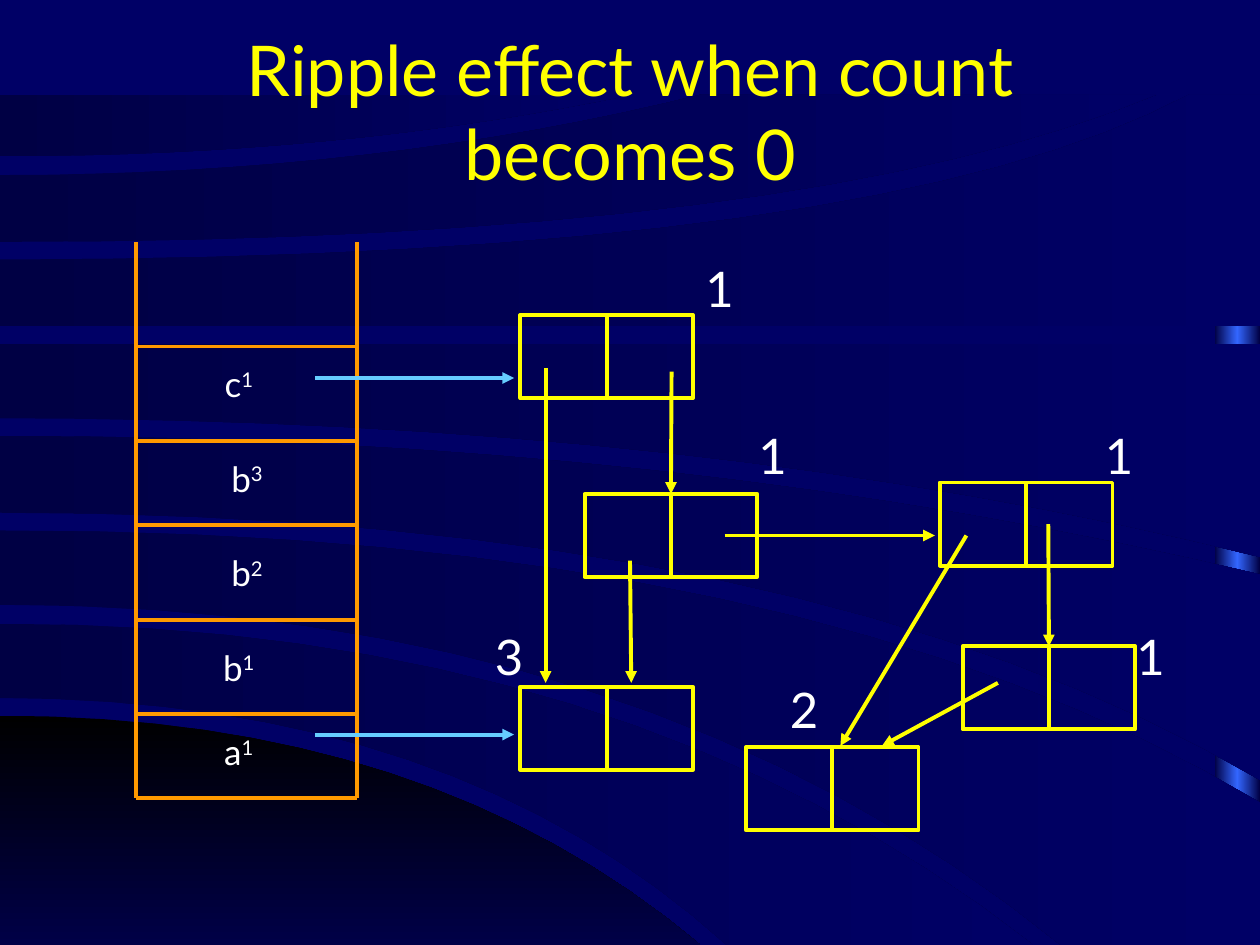
from lxml.etree import SubElement
from pptx import Presentation
from pptx.dml.color import RGBColor
from pptx.enum.shapes import MSO_CONNECTOR, MSO_SHAPE
from pptx.enum.text import MSO_ANCHOR, PP_ALIGN
from pptx.oxml.ns import qn
from pptx.util import Cm, Pt

COLORS = {
    "background": "000066", "dark": "000044", "glow": "3366FF",
    "black": "000000", "corner": "000047", "title": "FFFF00",
    "node": "FFFF00", "stack": "FF9900", "reference": "66CCFF", "text": "FFFFFF",
}
TOP, BOTTOM = 0, 2
NODE_WIDTH, NODE_HEIGHT = 1.37, 0.66
CURVE_STEPS = 16

# Edges of the backdrop: start height, bend, end x, end y
HILL = ((5.68, 3.4, 5.56, 7.5), (7.5, 3, 5.56, 7.5))
BANDS = (
    ((4.95, 4.95, 8.2, 7.5), (5.54, 3.6, 5.77, 7.5)),
    ((4.21, 6.4, 10, 6.37), (4.8, 5.1, 8.42, 7.5)),
    ((3.46, 5.4, 10, 4.56), (4.07, 6.4, 10, 6.19)),
    ((2.73, 5, 10, 2.73), (3.32, 5.6, 10, 4.42)),
    ((2.06, 7, 9.44, 0.75), (2.59, 5, 10, 2.59)),
    ((1.39, 3, 5.57, 0.75), (1.92, 6.4, 9.18, 0.75)),
    ((0.75, 2.5, 5.02, 0.75), (1.24, 2.7, 5.02, 0.75)),
)


def color(name):
    return RGBColor.from_string(COLORS[name])


def length(inches):
    return Cm(inches * 2.54)


def curve(start_y, bend, end_x, end_y):
    """Points of a curve that leaves the left side of the slide level."""
    points = []
    for step in range(CURVE_STEPS + 1):
        t = step / CURVE_STEPS
        points.append((2 * t * (1 - t) * bend + t * t * end_x,
                       start_y + t * t * (end_y - start_y)))
    return points


def write(paragraph, text, size=28, tint="text", align=PP_ALIGN.LEFT, raised=False):
    """Add one run of text to the paragraph."""
    paragraph.alignment = align
    run = paragraph.add_run()
    run.text = text
    run.font.name = "Lato"
    run.font.size = Pt(size)
    run.font.color.rgb = color(tint)
    if raised:
        run.font._element.set("baseline", "30000")


class Diagram:
    """The current slide and its drawing style; places are in inches."""

    def __init__(self, slide, line_width=2.25):
        self.slide = slide
        self.shapes = slide.shapes
        self.line_width = Pt(line_width)

    def background(self, name):
        fill = self.slide.background.fill
        fill.solid()
        fill.fore_color.rgb = color(name)

    def gradient(self, shape, names, angle=0):
        shape.shadow.inherit = False
        shape.line.fill.background()
        shape.fill.gradient()
        shape.fill.gradient_angle = angle
        stops = shape._element.spPr.find(".//" + qn("a:gsLst"))
        for stop in list(stops):
            stops.remove(stop)
        for index, name in enumerate(names):
            position = index * 100000 // (len(names) - 1)
            stop = SubElement(stops, qn("a:gs"), pos=str(position))
            SubElement(stop, qn("a:srgbClr"), val=COLORS[name])

    def rectangle(self, left, top, width, height):
        return self.shapes.add_shape(
            MSO_SHAPE.RECTANGLE, *map(length, (left, top, width, height)))

    def band(self, edges, names, angle=0):
        """The area between two curves, squared off at the right."""
        upper, lower = (curve(*edge) for edge in edges)
        near, far = sorted((upper[-1], lower[-1]))
        points = upper + [(far[0], near[1])] + lower[::-1]
        corners = [(length(x), length(y)) for x, y in points]
        builder = self.shapes.build_freeform(*corners[0])
        builder.add_line_segments(corners[1:], close=True)
        self.gradient(builder.convert_to_shape(), names, angle)

    def line(self, start, end, tint, arrow=False):
        connector = self.shapes.add_connector(
            MSO_CONNECTOR.STRAIGHT, *map(length, (*start, *end)))
        connector.line.color.rgb = color(tint)
        connector.line.width = self.line_width
        if arrow:
            SubElement(connector.line._ln, qn("a:tailEnd"), type="triangle")
        SubElement(connector._element.spPr, qn("a:effectLst"))
        return connector

    def node(self, left, top):
        """A two-cell box."""
        box = self.rectangle(left, top, NODE_WIDTH, NODE_HEIGHT)
        box.shadow.inherit = False
        box.fill.background()
        box.line.color.rgb = color("node")
        box.line.width = self.line_width
        middle = left + NODE_WIDTH / 2
        divider = self.line((middle, top), (middle, top + NODE_HEIGHT), "node")
        divider.begin_connect(box, TOP)
        divider.end_connect(box, BOTTOM)
        return box

    def text(self, left, top, width, height, content, raised="", wrap=True,
             anchor=MSO_ANCHOR.TOP, **style):
        box = self.shapes.add_textbox(*map(length, (left, top, width, height)))
        frame = box.text_frame
        frame.word_wrap = wrap
        frame.vertical_anchor = anchor
        paragraph = frame.paragraphs[0]
        write(paragraph, content, **style)
        if raised:
            write(paragraph, raised, raised=True, **style)


def main():
    presentation = Presentation()
    presentation.slide_width, presentation.slide_height = length(10), length(7.5)
    diagram = Diagram(presentation.slides.add_slide(presentation.slide_layouts[6]))

    # Backdrop
    diagram.background("background")
    strip = diagram.rectangle(9.64, 0.77, 0.36, 6.73)
    diagram.gradient(strip, ("dark", "glow", "dark"))
    diagram.band(HILL, ("black", "corner"), angle=270)
    for edges in BANDS:
        diagram.band(edges, ("dark", "background"))

    # Title
    diagram.text(0.75, 0.25, 8.5, 1.25, "Ripple effect when count becomes 0",
                 anchor=MSO_ANCHOR.MIDDLE, size=40, tint="title",
                 align=PP_ALIGN.CENTER)

    # Stack, open at the top
    left, right, top, bottom = 1.08, 2.83, 1.92, 6.33
    for x in (left, right):
        diagram.line((x, top), (x, bottom), "stack")
    for y in (2.75, 3.5, 4.17, 4.92, 5.67, bottom):
        diagram.line((left, y), (right, y), "stack")
    for name, version, y, width in (
            ("c", "1", 2.83, 0.45), ("b", "3", 3.58, 0.58), ("b", "2", 4.33, 0.58),
            ("b", "1", 5.08, 0.45), ("a", "1", 5.75, 0.45)):
        diagram.text(1.67, y, width, 0.44, name, raised=version, wrap=False,
                     size=20, align=PP_ALIGN.CENTER)

    # Nodes
    places = ((4.13, 2.5), (4.64, 3.92), (7.46, 3.83),
              (7.64, 5.13), (4.13, 5.45), (5.92, 5.93))
    first, second, third, fourth, fifth, sixth = (
        diagram.node(*place) for place in places)

    # Reference counts
    for count, x, y in (("1", 5.5, 2), ("1", 5.92, 3.33), ("1", 8.67, 3.33),
                        ("1", 8.92, 4.92), ("3", 3.83, 4.92), ("2", 6.17, 5.34)):
        diagram.text(x, y, 0.41, 0.57, count)

    # References from the stack
    for y in (3, 5.83):
        diagram.line((2.5, y), (4.08, y), "reference", arrow=True)

    # Pointers that meet the middle of a node's top side
    for start, end, target in (((5.33, 2.95), (5.33, 3.92), second),
                               ((8.32, 4.16), (8.33, 5.13), fourth)):
        diagram.line(start, end, "node", arrow=True).end_connect(target, TOP)

    # Other pointers between nodes
    for start, end in (((5.75, 4.25), (7.42, 4.25)), ((4.33, 2.92), (4.33, 5.42)),
                       ((5, 4.45), (5.01, 5.42)), ((7.67, 4.25), (6.67, 5.92)),
                       ((7.92, 5.42), (7, 5.92))):
        diagram.line(start, end, "node", arrow=True)

    presentation.save("out.pptx")


if __name__ == "__main__":
    main()
